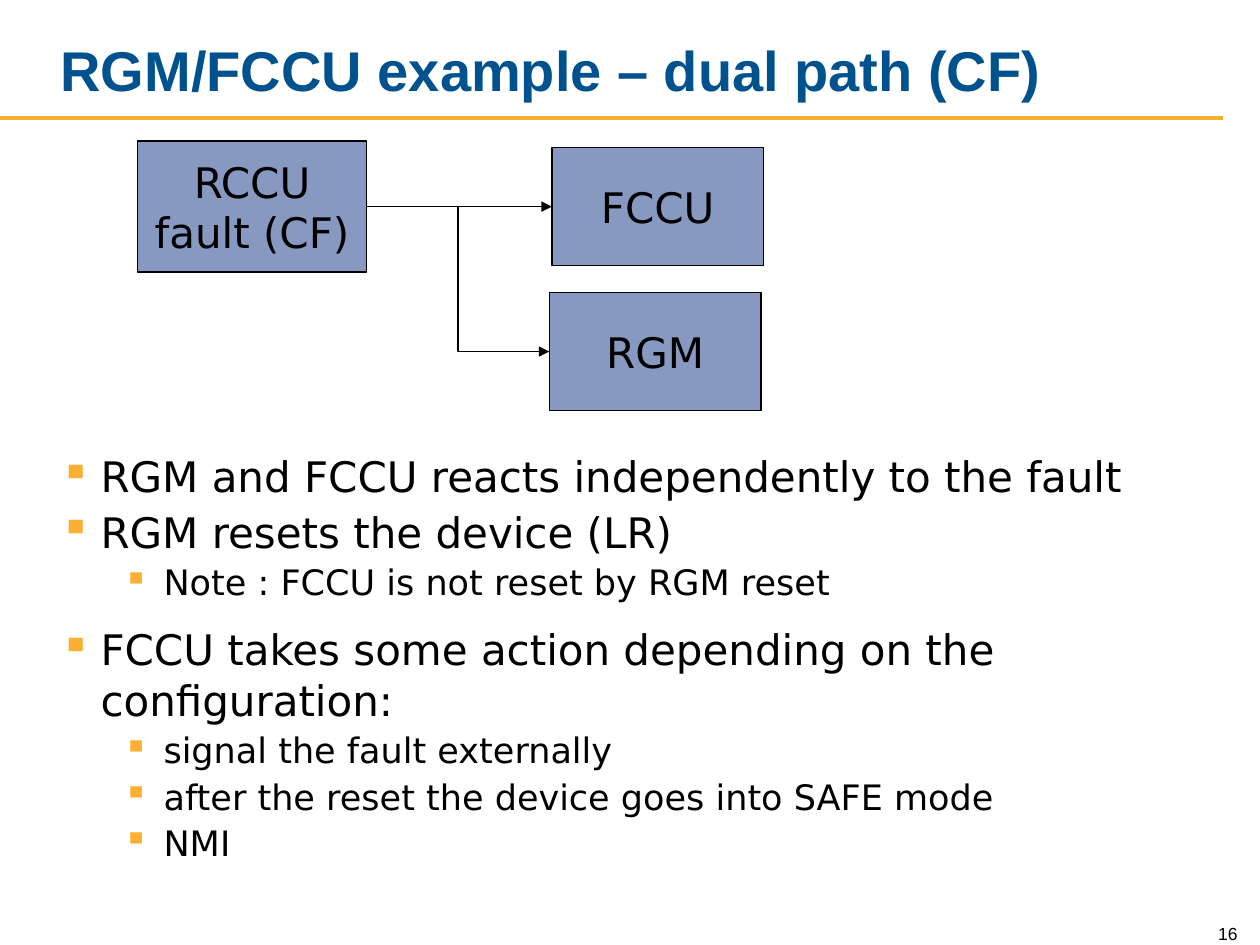
from lxml.etree import SubElement
from pptx import Presentation
from pptx.dml.color import RGBColor
from pptx.enum.shapes import MSO_CONNECTOR, MSO_SHAPE
from pptx.enum.text import MSO_ANCHOR, PP_ALIGN
from pptx.oxml.ns import qn
from pptx.util import Inches, Pt

COLORS = {"title": "00528E", "accent": "FBB034", "block": "8799C1", "ink": "000000"}
LEFT_SITE, RIGHT_SITE = 1, 3


def set_font(paragraph, name, size, color):
    paragraph.font.name = name
    paragraph.font.size = Pt(size)
    paragraph.font.color.rgb = RGBColor.from_string(COLORS[color])


def style_line(connector, color, width):
    """Set colour and width, and take the theme shadow off."""
    connector.line.color.rgb = RGBColor.from_string(COLORS[color])
    connector.line.width = Pt(width)
    SubElement(connector._element.spPr, qn("a:effectLst"))


prs = Presentation()
prs.slide_width, prs.slide_height = Inches(10), Inches(7.5)
slide = prs.slides.add_slide(prs.slide_layouts[5])
shapes = slide.shapes

# Title and rule
title = shapes.title
title.left, title.top = Inches(0.38), Inches(0.17)
title.width, title.height = Inches(8.17), Inches(0.75)
title.text_frame.text = "RGM/FCCU example – dual path (CF)"
title.text_frame.vertical_anchor = MSO_ANCHOR.MIDDLE
heading = title.text_frame.paragraphs[0]
heading.alignment = PP_ALIGN.LEFT
set_font(heading, "Arial", 32, "title")
heading.font.bold = True

rule = shapes.add_connector(
    MSO_CONNECTOR.STRAIGHT, Inches(0), Inches(0.94), Inches(9.71), Inches(0.94))
style_line(rule, "accent", 2.25)

# Page number
page_number = shapes.add_textbox(Inches(9.42), Inches(7.24), Inches(0.5), Inches(0.3))
page_number.text_frame.word_wrap = True
page_number.text_frame.vertical_anchor = MSO_ANCHOR.BOTTOM
number = page_number.text_frame.paragraphs[0]
number.text = "16"
number.alignment = PP_ALIGN.RIGHT
set_font(number, "Arial", 10, "ink")

# Fault path diagram
blocks = []
for label, left, top, width, height in [
    ("RCCU\nfault (CF)", 1.09, 1.12, 1.82, 1.04),
    ("FCCU", 4.38, 1.17, 1.68, 0.94),
    ("RGM", 4.36, 2.32, 1.68, 0.94),
]:
    block = shapes.add_shape(
        MSO_SHAPE.RECTANGLE, Inches(left), Inches(top), Inches(width), Inches(height))
    block.shadow.inherit = False
    block.fill.solid()
    block.fill.fore_color.rgb = RGBColor.from_string(COLORS["block"])
    block.line.color.rgb = RGBColor.from_string(COLORS["ink"])
    block.line.width = Pt(0.75)
    block.text_frame.word_wrap = False
    block.text_frame.vertical_anchor = MSO_ANCHOR.MIDDLE
    block.text_frame.text = label
    for paragraph in block.text_frame.paragraphs:
        paragraph.alignment = PP_ALIGN.CENTER
        set_font(paragraph, "DejaVu Sans", 24, "ink")
    blocks.append(block)

fault, fccu, rgm = blocks
for target, route in [(fccu, MSO_CONNECTOR.STRAIGHT), (rgm, MSO_CONNECTOR.ELBOW)]:
    arrow = shapes.add_connector(route, 0, 0, 0, 0)
    arrow.begin_connect(fault, RIGHT_SITE)
    arrow.end_connect(target, LEFT_SITE)
    style_line(arrow, "ink", 0.75)
    SubElement(arrow.line._get_or_add_ln(), qn("a:tailEnd"), type="triangle")

# Bullets: level, space before in points, text
bullets = [
    (0, 2, "RGM and FCCU reacts independently to the fault"),
    (0, 2.8, "RGM resets the device (LR)"),
    (1, 2.4, "Note : FCCU is not reset by RGM reset"),
    (0, 12, "FCCU takes some action depending on the configuration:"),
    (1, 2.4, "signal the fault externally"),
    (1, 2.4, "after the reset the device goes into SAFE mode"),
    (1, 2.4, "NMI"),
]
body = shapes.add_textbox(Inches(0.38), Inches(3.53), Inches(9.34), Inches(3.4)).text_frame
body.word_wrap = True
body.text = "\n".join(text for _, _, text in bullets)
for paragraph, (level, gap, _) in zip(body.paragraphs, bullets):
    paragraph.level = level
    paragraph.space_before = Pt(gap)
    set_font(paragraph, "DejaVu Sans", (24, 20)[level], "ink")
    properties = paragraph._p.get_or_add_pPr()
    properties.set("marL", str(Inches(0.32 + 0.5 * level)))
    properties.set("indent", str(Inches(-0.32)))
    bullet_color = properties.makeelement(qn("a:buClr"))
    SubElement(bullet_color, qn("a:srgbClr"), val=COLORS["accent"])
    bullet_mark = properties.makeelement(qn("a:buChar"), char="▪")
    run_defaults = properties.find(qn("a:defRPr"))
    run_defaults.addprevious(bullet_color)
    run_defaults.addprevious(bullet_mark)

prs.save("out.pptx")
